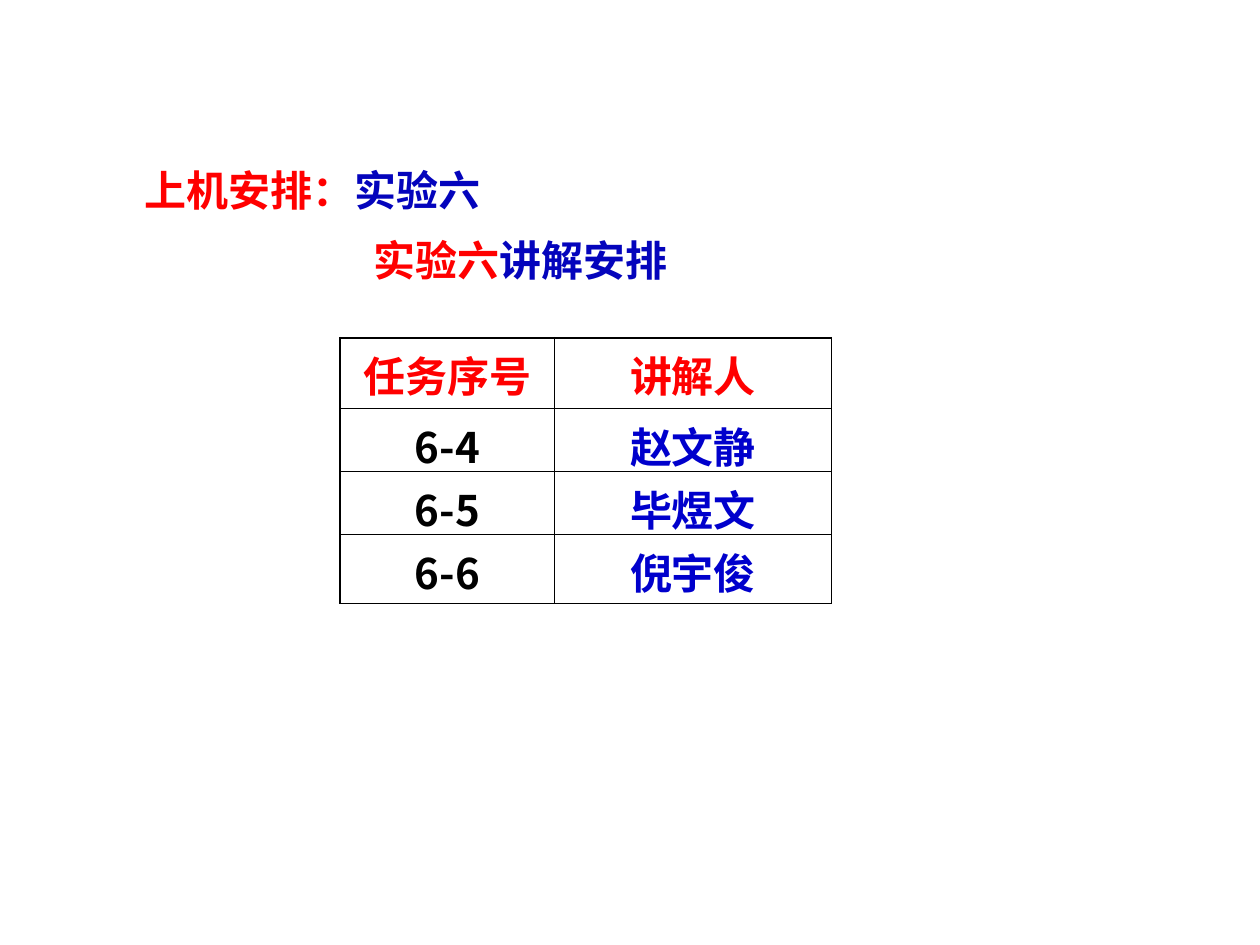
from lxml import etree
from pptx import Presentation
from pptx.dml.color import RGBColor
from pptx.enum.text import MSO_ANCHOR, PP_ALIGN
from pptx.oxml.ns import qn
from pptx.util import Inches, Pt

CENTER, LEFT = PP_ALIGN.CENTER, PP_ALIGN.LEFT
TOP, MIDDLE = MSO_ANCHOR.TOP, MSO_ANCHOR.MIDDLE
RED = RGBColor(0xFF, 0x00, 0x00)
HEADING_BLUE = RGBColor(0x04, 0x04, 0xBC)
NAME_BLUE = RGBColor(0x00, 0x00, 0xCC)
BLACK = RGBColor(0x00, 0x00, 0x00)
CJK_FONT = "Noto Sans CJK SC"
THICK, THIN = Pt(1.08), Pt(0.45)


class SlideBuilder:
    text_format = {"size": Pt(24), "bold": True}

    def __init__(self, slide):
        self.slide = slide

    def fill_paragraph(self, paragraph, runs, font_name, **layout):
        for name, value in layout.items():
            setattr(paragraph, name, value)
        for text, color, *size in runs:
            run = paragraph.add_run()
            run.text = text
            font_format = {**self.text_format, "name": font_name}
            if size:
                font_format["size"] = size[0]
            for name, value in font_format.items():
                setattr(run.font, name, value)
            run.font.color.rgb = color
            properties = run._r.get_or_add_rPr()
            etree.SubElement(properties, qn("a:ea"), typeface=CJK_FONT)

    def text(self, left, top, width, height, paragraphs):
        box = self.slide.shapes.add_textbox(
            Inches(left), Inches(top), Inches(width), Inches(height))
        frame = box.text_frame
        frame.word_wrap = True
        for index, (alignment, space, runs) in enumerate(paragraphs):
            paragraph = frame.add_paragraph() if index else frame.paragraphs[0]
            self.fill_paragraph(paragraph, runs, "Arial",
                                alignment=alignment, space_before=Pt(space))

    def border(self, cell, **widths):
        properties = cell._tc.get_or_add_tcPr()
        for side, width in widths.items():
            line = etree.SubElement(properties, qn(f"a:ln{side}"), w=str(width))
            fill = etree.SubElement(line, qn("a:solidFill"))
            etree.SubElement(fill, qn("a:srgbClr"), val=str(BLACK))

    def table(self, left, top, column_widths, row_heights, rows, column_colors):
        frame = self.slide.shapes.add_table(
            len(rows), len(column_widths), Inches(left), Inches(top),
            Inches(sum(column_widths)), Inches(sum(row_heights)))
        table = frame.table
        for column, width in zip(table.columns, column_widths):
            column.width = Inches(width)
        for row, height in zip(table.rows, row_heights):
            row.height = Inches(height)
        last_row, last_column = len(rows) - 1, len(column_widths) - 1
        for row, values in enumerate(rows):
            for column, value in enumerate(values):
                cell = table.cell(row, column)
                is_name = row > 0 and column == last_column
                margin = Inches(0.01 if is_name else 0.1)
                cell_format = {"margin_left": margin, "margin_right": margin,
                               "vertical_anchor": MIDDLE if is_name else TOP}
                for name, setting in cell_format.items():
                    setattr(cell, name, setting)
                self.border(cell,
                            L=THIN if column else THICK,
                            R=THICK if column == last_column else THIN,
                            T=THIN if row else THICK,
                            B=THICK if row == last_row else THIN)
                cell.fill.background()
                color = column_colors[column] if row else RED
                self.fill_paragraph(
                    cell.text_frame.paragraphs[0], [(value, color)],
                    CJK_FONT, alignment=CENTER, space_before=Pt(6))


def main():
    presentation = Presentation()
    presentation.slide_width = Inches(10)
    presentation.slide_height = Inches(7.5)
    slide = presentation.slides.add_slide(presentation.slide_layouts[6])
    builder = SlideBuilder(slide)
    builder.text(1.05, 1.26, 6.22, 1.06, [
        (LEFT, 15, [("上机安排：", RED), ("实验六", HEADING_BLUE)]),
        (CENTER, 11.2, [("实验六", RED), ("讲解安排", HEADING_BLUE),
                        (" ", BLACK, Pt(18))]),
    ])
    builder.table(2.7, 2.68, [1.7, 2.2], [0.56, 0.5, 0.5, 0.55], [
        ("任务序号", "讲解人"),
        ("6-4", "赵文静"),
        ("6-5", "毕煜文"),
        ("6-6", "倪宇俊"),
    ], [BLACK, NAME_BLUE])
    presentation.save("out.pptx")


if __name__ == "__main__":
    main()
